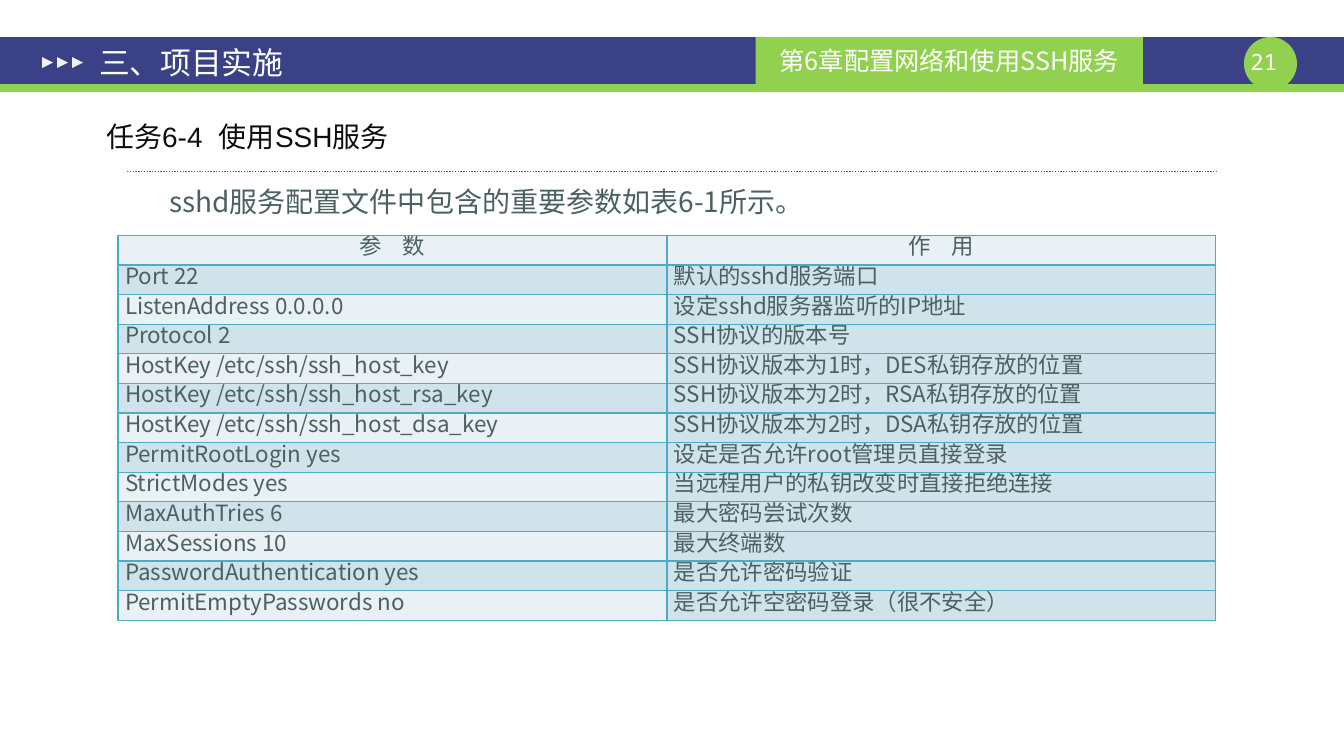
from dataclasses import dataclass

from lxml import etree
from pptx import Presentation
from pptx.dml.color import RGBColor
from pptx.enum.dml import MSO_LINE
from pptx.enum.shapes import MSO_CONNECTOR, MSO_SHAPE
from pptx.enum.text import MSO_ANCHOR, MSO_AUTO_SIZE, PP_ALIGN
from pptx.oxml.ns import qn
from pptx.util import Pt

LEFT, CENTER = PP_ALIGN.LEFT, PP_ALIGN.CENTER
TOP, MIDDLE = MSO_ANCHOR.TOP, MSO_ANCHOR.MIDDLE
RECT, OVAL, TRIANGLE = MSO_SHAPE.RECTANGLE, MSO_SHAPE.OVAL, MSO_SHAPE.ISOSCELES_TRIANGLE
STRAIGHT, DOTTED = MSO_CONNECTOR.STRAIGHT, MSO_LINE.ROUND_DOT
NO_AUTOFIT = MSO_AUTO_SIZE.NONE
TITLE_ONLY = 5
EMU_PER_PX = 9080
SLIDE_SIZE = (1343, 755)


@dataclass(frozen=True)
class Theme:
    navy: str = "3A4187"
    green: str = "92D050"
    white: str = "FFFFFF"
    marker: str = "F2F2F2"
    ink: str = "0D0D0D"
    body: str = "4C6062"
    rule: str = "3958CB"
    border: str = "4BACC6"
    pale: str = "E9F1F5"
    tint: str = "D0E3EA"
    cjk: str = "Noto Sans CJK SC"
    latin: str = "Arial"
    mono: str = "Noto Sans Mono"
    title_size: int = 22
    text_size: int = 20
    chapter_size: int = 18
    small_size: int = 16


PARAMETERS = [
    ("参 数", "作 用"),
    ("Port 22", "默认的sshd服务端口"),
    ("ListenAddress 0.0.0.0", "设定sshd服务器监听的IP地址"),
    ("Protocol 2", "SSH协议的版本号"),
    ("HostKey /etc/ssh/ssh_host_key", "SSH协议版本为1时，DES私钥存放的位置"),
    ("HostKey /etc/ssh/ssh_host_rsa_key", "SSH协议版本为2时，RSA私钥存放的位置"),
    ("HostKey /etc/ssh/ssh_host_dsa_key", "SSH协议版本为2时，DSA私钥存放的位置"),
    ("PermitRootLogin yes", "设定是否允许root管理员直接登录"),
    ("StrictModes yes", "当远程用户的私钥改变时直接拒绝连接"),
    ("MaxAuthTries 6", "最大密码尝试次数"),
    ("MaxSessions 10", "最大终端数"),
    ("PasswordAuthentication yes", "是否允许密码验证"),
    ("PermitEmptyPasswords no", "是否允许空密码登录（很不安全）"),
]


def px(length):
    return length * EMU_PER_PX


def rgb(color):
    return RGBColor.from_string(color)


def write(frame, text, *, size, color, font, align=LEFT, line=None,
          before=0, after=0, indent=0, gap=0):
    """Fill a text frame; gap widens the first space by that many points."""
    paragraph = frame.paragraphs[0]
    paragraph.alignment = align
    paragraph.line_spacing = line
    paragraph.space_before, paragraph.space_after = Pt(before), Pt(after)
    if indent:
        paragraph._p.get_or_add_pPr().set("indent", str(px(indent)))
    for part in text.partition(" ") if gap else (text,):
        run = paragraph.add_run()
        run.text = part
        run.font.size, run.font.name, run.font.bold = Pt(size), font, False
        run.font.color.rgb = rgb(color)
        properties = run.font._element
        etree.SubElement(properties, qn("a:ea")).set("typeface", Theme.cjk)
        if part == " ":
            properties.set("spc", str(gap * 100))


class SlideBuilder:
    def __init__(self, slide, theme):
        self.slide, self.shapes, self.theme = slide, slide.shapes, theme

    def frame(self, shape, insets, anchor, wrap=True):
        frame = shape.text_frame
        frame.auto_size, frame.word_wrap = NO_AUTOFIT, wrap
        frame.vertical_anchor = anchor
        horizontal, vertical = map(px, insets)
        frame.margin_left = frame.margin_right = horizontal
        frame.margin_top = frame.margin_bottom = vertical
        return frame

    def shape(self, kind, box, color, rotation=0):
        shape = self.shapes.add_shape(kind, *map(px, box))
        shape.shadow.inherit = False
        shape.fill.solid()
        shape.fill.fore_color.rgb = rgb(color)
        shape.line.fill.background()
        shape.rotation = rotation
        return shape

    def title(self, text, box, **style):
        title = self.shapes.title
        title.left, title.top, title.width, title.height = map(px, box)
        title.element.getparent().append(title.element)  # above the banner
        write(self.frame(title, (13, 7), MIDDLE), text, **style)

    def text(self, text, box, insets=(10, 5), **style):
        textbox = self.shapes.add_textbox(*map(px, box))
        write(self.frame(textbox, insets, TOP), text, **style)

    def dotted_rule(self, left, right, y):
        rule = self.shapes.add_connector(STRAIGHT, px(left), px(y), px(right), px(y))
        rule.line.color.rgb = rgb(self.theme.rule)
        rule.line.width, rule.line.dash_style = Pt(1), DOTTED
        etree.SubElement(rule.element.spPr, qn("a:effectLst"))

    def borders(self, cell):
        properties = cell._tc.get_or_add_tcPr()
        for position, side in enumerate(("lnL", "lnR", "lnT", "lnB")):
            edge = etree.Element(qn(f"a:{side}"), w=str(Pt(1)))
            fill = etree.SubElement(edge, qn("a:solidFill"))
            etree.SubElement(fill, qn("a:srgbClr")).set("val", self.theme.border)
            properties.insert(position, edge)

    def table(self, rows, box):
        theme = self.theme
        table = self.shapes.add_table(len(rows), len(rows[0]), *map(px, box)).table
        table.first_row = table.horz_banding = False
        for r, row in enumerate(rows):
            for c, text in enumerate(row):
                cell = table.cell(r, c)
                cell.vertical_anchor = MIDDLE
                cell.margin_left = cell.margin_right = px(7)
                cell.margin_top = cell.margin_bottom = 0
                pale = r == 0 or (c == 0 and r % 2 == 0)
                cell.fill.solid()
                cell.fill.fore_color.rgb = rgb(theme.pale if pale else theme.tint)
                self.borders(cell)
                write(cell.text_frame, text, size=theme.small_size, color=theme.body,
                      font=theme.cjk, align=LEFT if r else CENTER, line=Pt(16),
                      before=1.2, after=1.2, gap=0 if r else 11)


def main():
    theme = Theme()
    deck = Presentation()
    deck.slide_width, deck.slide_height = map(px, SLIDE_SIZE)
    slide = deck.slides.add_slide(deck.slide_layouts[TITLE_ONLY])
    page = SlideBuilder(slide, theme)

    # Banner with page number and chapter
    page.shape(RECT, (0, 37, 1343, 47), theme.navy)
    page.shape(RECT, (0, 84, 1343, 8), theme.green)
    page.shape(OVAL, (1243, 37, 53, 53), theme.green)
    page.text("21 ", (1243, 48, 53, 27), insets=(0, 0), size=theme.small_size,
              color=theme.white, font=theme.mono, align=CENTER)
    chapter = page.shape(RECT, (755, 37, 387, 47), theme.green)
    write(page.frame(chapter, (10, 5), MIDDLE, wrap=False), "第6章配置网络和使用SSH服务",
          size=theme.chapter_size, color=theme.white, font=theme.cjk, align=CENTER)
    for index in range(3):
        page.shape(TRIANGLE, (42 + 15 * index, 57, 11, 11), theme.marker, rotation=90)
    page.title("三、项目实施", (86, 40, 725, 44), size=theme.title_size,
               color=theme.white, font=theme.cjk)

    # Task heading and introduction
    page.text("任务6-4 使用SSH服务", (93, 109, 1183, 51), insets=(13, 7),
              size=theme.text_size, color=theme.ink, font=theme.latin,
              line=1.1, before=4, gap=6)
    page.text("sshd服务配置文件中包含的重要参数如表6-1所示。", (109, 162, 1089, 60),
              size=theme.text_size, color=theme.body, font=theme.cjk,
              line=1.5, before=3.6, after=2.4, indent=50)
    page.dotted_rule(127, 1215, 171)

    # Configuration parameters
    page.table(PARAMETERS, (118, 235, 1097, 385))

    deck.save("out.pptx")


if __name__ == "__main__":
    main()
